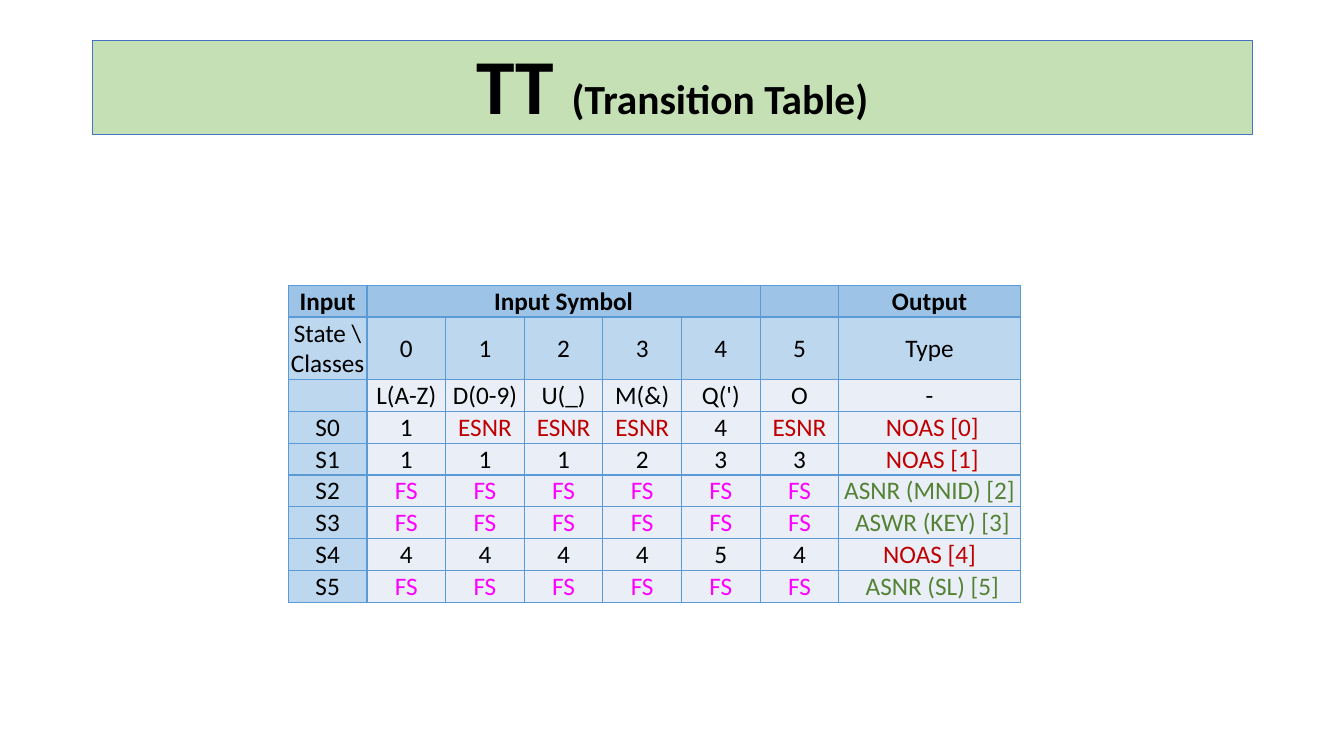
from pptx import Presentation
from pptx.dml.color import RGBColor
from pptx.enum.text import MSO_ANCHOR, MSO_AUTO_SIZE, PP_ALIGN
from pptx.oxml import parse_xml
from pptx.oxml.ns import nsdecls
from pptx.util import Inches, Pt

CENTER = PP_ALIGN.CENTER
MIDDLE, BOTTOM = MSO_ANCHOR.MIDDLE, MSO_ANCHOR.BOTTOM
NO_FIT = MSO_AUTO_SIZE.NONE

# Content
TITLE = [("TT ", "title"), ("(Transition Table)", "subtitle")]
FINAL = ["FS"] * 6
ROWS = [
    ["Input", "Input Symbol", "", "", "", "", "", "Output"],
    ["State \\ Classes", "0", "1", "2", "3", "4", "5", "Type"],
    ["", "L(A-Z)", "D(0-9)", "U(_)", "M(&)", "Q(')", "O", "-"],
    ["S0", "1", "ESNR", "ESNR", "ESNR", "4", "ESNR", " NOAS [0]"],
    ["S1", "1", "1", "1", "2", "3", "3", " NOAS [1]"],
    ["S2", *FINAL, "ASNR (MNID) [2]"],
    ["S3", *FINAL, " ASWR (KEY) [3]"],
    ["S4", "4", "4", "4", "4", "5", "4", "NOAS [4]"],
    ["S5", *FINAL, " ASNR (SL) [5]"],
]
SYMBOL_SPAN = 5

# Theme and layout, in points and inches
THEME = {
    "font": "Calibri",
    "sizes": {"title": 55.5, "subtitle": 29.6, "cell": 18},
    "text": "000000",
    "words": {"ESNR": "C00000", "NOAS": "C00000", "FS": "FF00FF",
              "ASNR": "548235", "ASWR": "548235"},
    "banner": "C5E0B4", "banner_line": "4472C4",
    "header": "9DC3E6", "label": "BDD7EE", "body": "EAEFF7",
    "border": "5B9BD5",
}
SLIDE = (13.33, 7.5)
BANNER = {"left": 0.92, "top": 0.4, "width": 11.5, "height": 0.93}
TABLE_LEFT, TABLE_TOP = 2.86, 2.83
COLUMNS = [0.78] * 7 + [1.8]
ROW_HEIGHT = 0.26
CELL_FORMAT = {"margin_left": Inches(0.01), "margin_right": Inches(0.01),
               "margin_top": Inches(0.01), "margin_bottom": 0,
               "vertical_anchor": MIDDLE}


def paint(fill, color):
    fill.solid()
    fill.fore_color.rgb = RGBColor.from_string(color)


def add_span(para, text, size, bold, color=THEME["text"]):
    span = para.add_run()
    span.text = text
    formats = {"name": THEME["font"], "size": Pt(THEME["sizes"][size]), "bold": bold}
    for name, value in formats.items():
        setattr(span.font, name, value)
    span.font.color.rgb = RGBColor.from_string(color)


def add_borders(cell):
    properties = cell._tc.get_or_add_tcPr()
    for position, side in enumerate(("lnL", "lnR", "lnT", "lnB")):
        properties.insert(position, parse_xml(
            f'<a:{side} {nsdecls("a")} w="{Pt(1)}"><a:solidFill>'
            f'<a:srgbClr val="{THEME["border"]}"/></a:solidFill></a:{side}>'))


def cell_fill(row, column):
    if row == 0:
        return THEME["header"]
    return THEME["label"] if row == 1 or column == 0 else THEME["body"]


def text_color(text):
    words = text.split()
    return THEME["words"].get(words[0], THEME["text"]) if words else THEME["text"]


def add_banner(page):
    banner = page.shapes.title
    for name, value in BANNER.items():
        setattr(banner, name, Inches(value))
    paint(banner.fill, THEME["banner"])
    paint(banner.line.fill, THEME["banner_line"])
    banner.line.width = Pt(0.75)
    frame = banner.text_frame
    for name, value in {"auto_size": NO_FIT, "word_wrap": True,
                        "vertical_anchor": BOTTOM}.items():
        setattr(frame, name, value)
    para = frame.paragraphs[0]
    para.alignment, para.line_spacing = CENTER, 0.8
    for text, size in TITLE:
        add_span(para, text, size, True)


def add_transitions(page):
    table = page.shapes.add_table(
        len(ROWS), len(COLUMNS), Inches(TABLE_LEFT), Inches(TABLE_TOP),
        Inches(sum(COLUMNS)), Inches(ROW_HEIGHT * len(ROWS))).table
    table.first_row = table.horz_banding = False
    for column, width in zip(table.columns, COLUMNS):
        column.width = Inches(width)
    for row, texts in enumerate(ROWS):
        table.rows[row].height = Inches(ROW_HEIGHT)
        for column, text in enumerate(texts):
            cell = table.cell(row, column)
            for name, value in CELL_FORMAT.items():
                setattr(cell, name, value)
            paint(cell.fill, cell_fill(row, column))
            add_borders(cell)
            para = cell.text_frame.paragraphs[0]
            para.alignment = CENTER
            if text:
                add_span(para, text, "cell", row == 0, text_color(text))
    table.cell(0, 1).merge(table.cell(0, SYMBOL_SPAN))


def main():
    deck = Presentation()
    deck.slide_width, deck.slide_height = map(Inches, SLIDE)
    page = deck.slides.add_slide(deck.slide_layouts[5])
    add_banner(page)
    add_transitions(page)
    deck.save("out.pptx")


if __name__ == "__main__":
    main()
